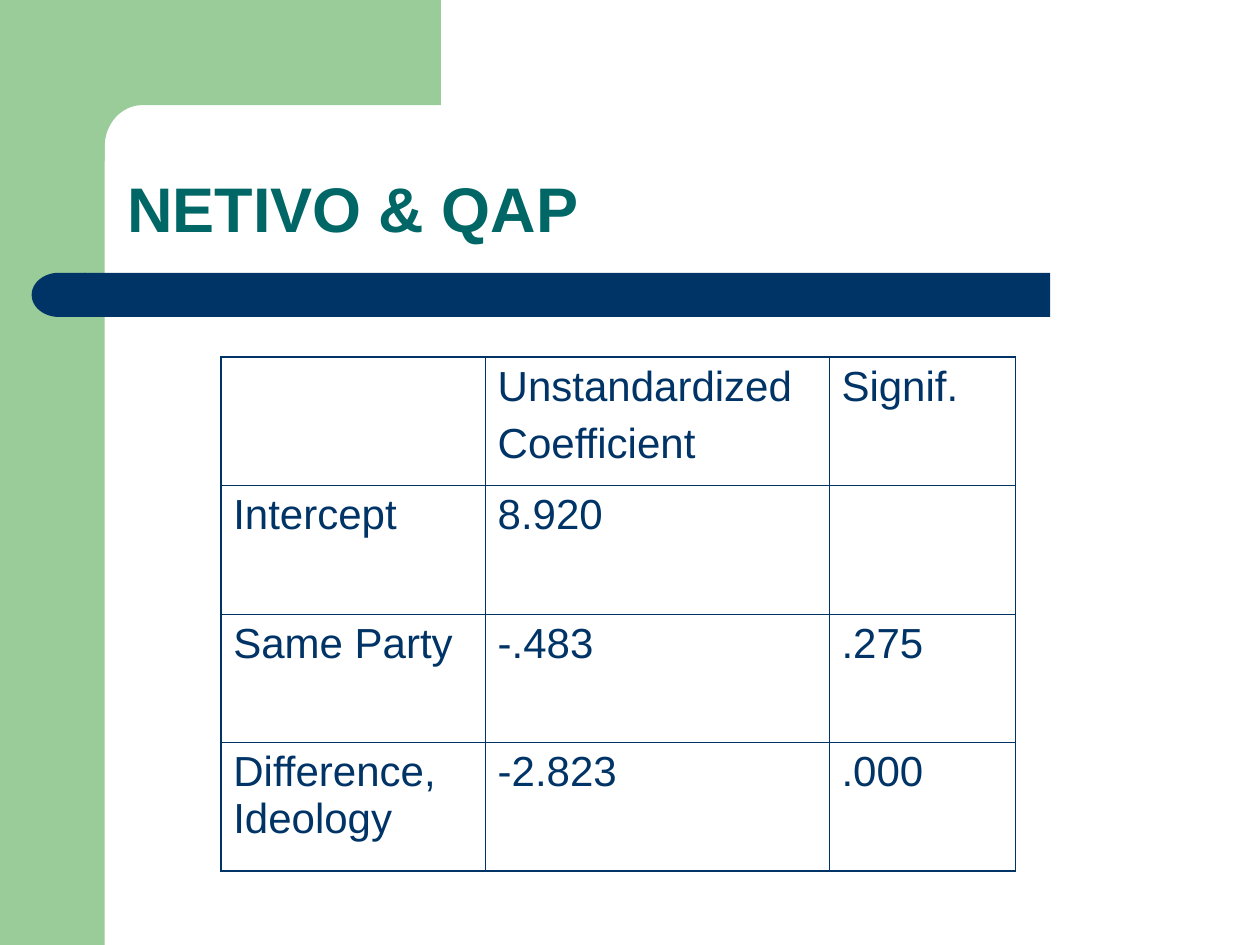
from math import cos, pi, sin

from lxml.etree import SubElement
from pptx import Presentation
from pptx.dml.color import RGBColor
from pptx.enum.shapes import MSO_SHAPE as Shape
from pptx.enum.text import MSO_ANCHOR as Anchor, PP_ALIGN as Align
from pptx.oxml.ns import qn
from pptx.util import Cm, Pt

# Content
TITLE = "NETIVO & QAP"
ROWS = [
    ("", "Unstandardized\nCoefficient", "Signif."),
    ("Intercept", "8.920", ""),
    ("Same Party", "-.483", ".275"),
    ("Difference, Ideology", "-2.823", ".000"),
]

# Style and measures (cm)
GREEN = RGBColor(0x99, 0xCC, 0x99)
NAVY = RGBColor(0x00, 0x33, 0x66)
TEAL = RGBColor(0x00, 0x66, 0x66)
FONT = "Arial"
COLUMN_WIDTHS = (5.33, 6.93, 3.76)
ROW_HEIGHT = 2.59
OUTER, INNER = Pt(1.08), Pt(0.45)
SIDEBAR_WIDTH = 2.11
BAR_TOP, BAR_HEIGHT = 5.5, 0.89


def paint(shape, color):
    shape.shadow.inherit = False
    shape.fill.solid()
    shape.fill.fore_color.rgb = color
    shape.line.fill.background()


def add_block(kind, left, top, width, height, color):
    shape = slide.shapes.add_shape(kind, Cm(left), Cm(top), Cm(width), Cm(height))
    paint(shape, color)
    return shape


def style_text(paragraph, size, color, bold=False):
    paragraph.alignment = Align.LEFT
    for run in paragraph.runs:
        run.font.name, run.font.size, run.font.bold = FONT, Pt(size), bold
        run.font.color.rgb = color


def add_border(cell, side, width):
    line = SubElement(cell._tc.get_or_add_tcPr(), qn(f"a:ln{side}"), w=str(width))
    fill = SubElement(line, qn("a:solidFill"))
    SubElement(fill, qn("a:srgbClr"), val=str(NAVY))


presentation = Presentation()
presentation.slide_width, presentation.slide_height = Cm(25.4), Cm(19.05)
slide = presentation.slides.add_slide(presentation.slide_layouts[5])

# Green sidebar and top block with a rounded inner corner
add_block(Shape.RECTANGLE, 0, 0, SIDEBAR_WIDTH, 19.05, GREEN)
block_left, block_right, block_bottom, block_end = 1.27, 8.89, 2.12, 3.25
radius_x, radius_y, steps = 0.76, 0.84, 16
corner = [
    (SIDEBAR_WIDTH + radius_x * (1 - sin(angle)), block_bottom + radius_y * (1 - cos(angle)))
    for angle in (pi / 2 * step / steps for step in range(steps + 1))
]
outline = [(block_right, 0), (block_right, block_bottom), *corner,
           (SIDEBAR_WIDTH, block_end), (block_left, block_end), (block_left, 0)]
points = [(Cm(x), Cm(y)) for x, y in outline]
builder = slide.shapes.build_freeform(*points[0])
builder.add_line_segments(points[1:], close=True)
paint(builder.convert_to_shape(), GREEN)

# Navy bar with a rounded left end
bar = add_block(Shape.ROUNDED_RECTANGLE, 1.7, BAR_TOP, 19.47, BAR_HEIGHT, NAVY)
bar.adjustments[0] = 0
bar_end = add_block(Shape.FLOWCHART_DELAY, 0.64, BAR_TOP, 1.09, BAR_HEIGHT, NAVY)
bar_end._element.spPr.xfrm.set("flipH", "1")

# Title
title = slide.shapes.title
title.left, title.top, title.width, title.height = Cm(2.31), Cm(2.31), Cm(21.62), Cm(2.77)
title.text_frame.text = TITLE
title.text_frame.vertical_anchor = Anchor.BOTTOM
heading = title.text_frame.paragraphs[0]
heading.line_spacing = 0.9
style_text(heading, 36, TEAL, bold=True)

# Table
row_count, column_count = len(ROWS), len(COLUMN_WIDTHS)
table = slide.shapes.add_table(
    row_count, column_count, Cm(4.45), Cm(7.2),
    Cm(sum(COLUMN_WIDTHS)), Cm(ROW_HEIGHT * row_count)).table
table.first_row = table.horz_banding = False
for column, width in zip(table.columns, COLUMN_WIDTHS):
    column.width = Cm(width)
for r, texts in enumerate(ROWS):
    table.rows[r].height = Cm(ROW_HEIGHT)
    for c, text in enumerate(texts):
        cell = table.cell(r, c)
        cell.text_frame.text = text
        for paragraph in cell.text_frame.paragraphs:
            paragraph.space_before = Pt(6)
            style_text(paragraph, 24, NAVY)
        outer_sides = {"L": c == 0, "R": c == column_count - 1,
                       "T": r == 0, "B": r == row_count - 1}
        for side, is_outer in outer_sides.items():
            add_border(cell, side, OUTER if is_outer else INNER)
        cell.fill.background()

presentation.save("out.pptx")
